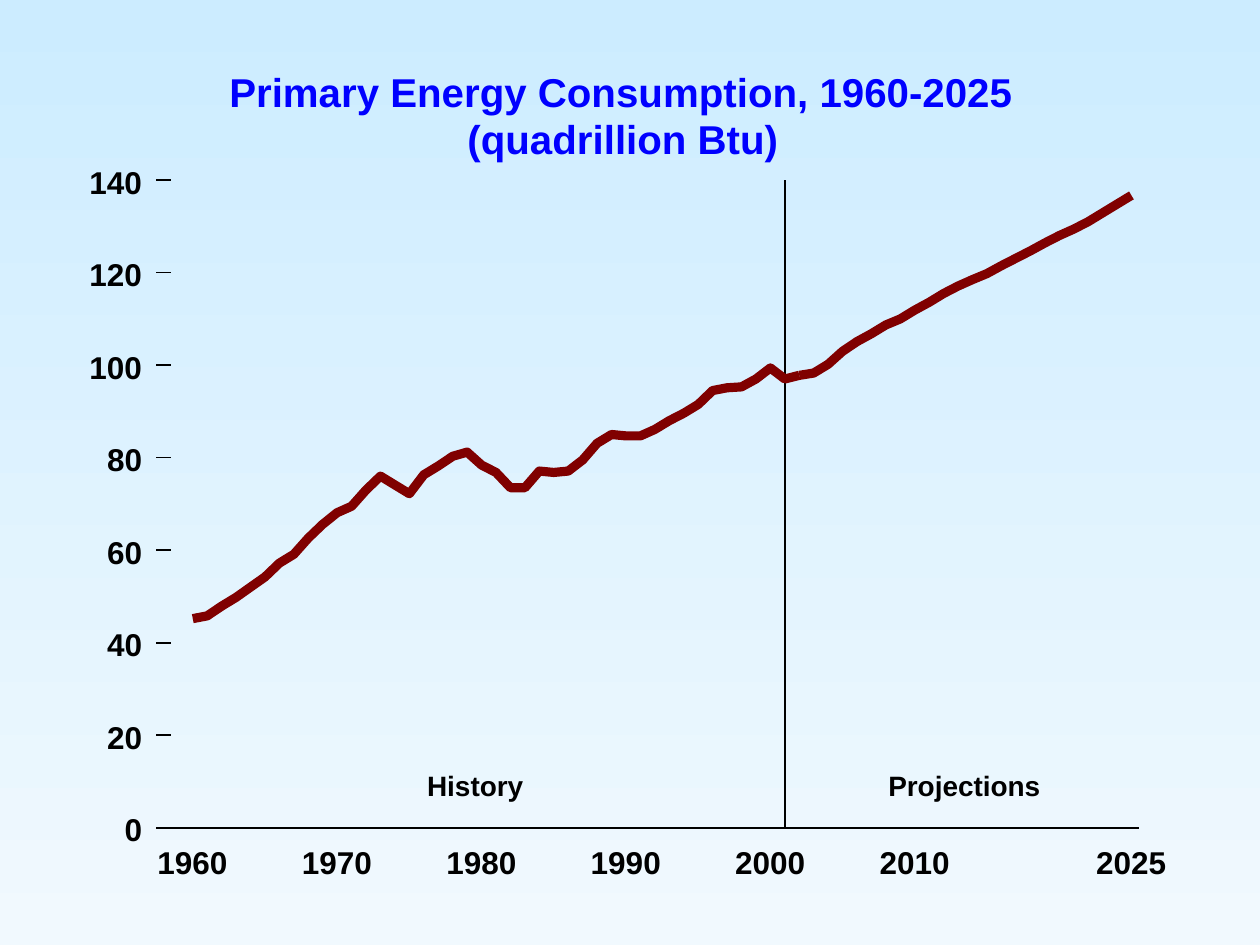
from typing import NamedTuple

import pptx
import pptx.dml.color
import pptx.enum.shapes
import pptx.enum.text
import pptx.oxml.ns
import pptx.util
from lxml import etree

Inches = pptx.util.Inches
Pt = pptx.util.Pt
RGBColor = pptx.dml.color.RGBColor

BLACK = RGBColor(0x00, 0x00, 0x00)
BLUE = RGBColor(0x00, 0x00, 0xFF)
MAROON = RGBColor(0x80, 0x00, 0x00)
SKY = RGBColor(0xCC, 0xEC, 0xFF)
PALE = RGBColor(0xF1, 0xF9, 0xFE)

LEFT, RIGHT = 1.36, 9.04
TOP, BASE = 1.43, 6.57
TICK = 0.12
FIRST, LAST, SPLIT = 1960, 2025, 2001
X_FIRST, X_LAST = 1.53, 8.98
Y_MAX, Y_STEP = 140, 20
YEARS = (1960, 1970, 1980, 1990, 2000, 2010, 2025)
DIGIT = 0.14


class Label(NamedTuple):
    text: str
    left: float
    top: float
    width: float
    height: float
    size: int
    color: RGBColor


class Series(NamedTuple):
    start: int
    values: tuple[float, ...]


PAST = Series(1960, (
    45.2, 45.8, 47.9, 49.8, 52.0, 54.2, 57.2, 59.1, 62.6, 65.6,
    68.1, 69.5, 73.0, 76.0, 74.1, 72.2, 76.3, 78.2, 80.3, 81.2,
    78.4, 76.8, 73.5, 73.5, 77.1, 76.8, 77.1, 79.5, 83.1, 85.0,
    84.7, 84.7, 86.1, 88.0, 89.6, 91.5, 94.5, 95.1, 95.3, 97.0,
    99.4, 97.0, 97.8))
FUTURE = Series(2002, (
    97.8, 98.3, 100.2, 103.0, 105.1, 106.8, 108.7, 110.0, 111.9, 113.6,
    115.5, 117.1, 118.5, 119.8, 121.5, 123.1, 124.7, 126.4, 128.0, 129.4,
    131.0, 132.9, 134.8, 136.7))

TITLES = (
    Label("Primary Energy Consumption, 1960-2025", 1.82, 0.53, 6.27, 0.38, 23, BLUE),
    Label("(quadrillion Btu)", 3.71, 0.91, 2.52, 0.38, 23, BLUE),
    Label("History", 3.39, 6.1, 0.8, 0.27, 16, BLACK),
    Label("Projections", 7.05, 6.1, 1.25, 0.27, 16, BLACK),
)


def x_at(year: int) -> float:
    return X_FIRST + (year - FIRST) * (X_LAST - X_FIRST) / (LAST - FIRST)


def y_at(value: float) -> float:
    return BASE - value * (BASE - TOP) / Y_MAX


def add_text(slide, text: str, *, left: float, top: float, width: float,
             height: float, size: int = 18, color: RGBColor = BLACK) -> None:
    box = slide.shapes.add_textbox(
        Inches(left), Inches(top), Inches(width), Inches(height))
    frame = box.text_frame
    frame.margin_left = frame.margin_right = 0
    frame.margin_top = frame.margin_bottom = 0
    frame.word_wrap = False
    frame.auto_size = pptx.enum.text.MSO_AUTO_SIZE.SHAPE_TO_FIT_TEXT
    run = frame.paragraphs[0].add_run()
    run.text = text
    run.font.name = "Arial"
    run.font.size = Pt(size)
    run.font.bold = True
    run.font.color.rgb = color


def add_rule(slide, x1: float, y1: float, x2: float, y2: float) -> None:
    rule = slide.shapes.add_connector(
        pptx.enum.shapes.MSO_CONNECTOR.STRAIGHT,
        Inches(x1), Inches(y1), Inches(x2), Inches(y2))
    rule.line.color.rgb = BLACK
    rule.line.width = Pt(0.88)
    props = rule.element.spPr
    etree.SubElement(props, pptx.oxml.ns.qn("a:effectLst"))


def add_curve(slide, series: Series) -> None:
    points = [(Inches(x_at(year)), Inches(y_at(value)))
              for year, value in enumerate(series.values, series.start)]
    pen = slide.shapes.build_freeform(*points[0])
    pen.add_line_segments(points[1:], close=False)
    curve = pen.convert_to_shape()
    curve.shadow.inherit = False
    curve.fill.background()
    curve.line.color.rgb = MAROON
    curve.line.width = Pt(5.25)


def paint_back(slide) -> None:
    fill = slide.background.fill
    fill.gradient()
    fill.gradient_angle = 270
    for stop, color in zip(fill.gradient_stops, (SKY, PALE)):
        stop.color.rgb = color


def main() -> None:
    deck = pptx.Presentation()
    deck.slide_width, deck.slide_height = Inches(10), Inches(7.5)
    slide = deck.slides.add_slide(deck.slide_layouts[6])
    paint_back(slide)

    add_rule(slide, x_at(SPLIT), TOP, x_at(SPLIT), BASE)
    add_curve(slide, FUTURE)
    add_curve(slide, PAST)

    marks = range(0, Y_MAX + 1, Y_STEP)
    for mark in marks:
        add_rule(slide, LEFT - TICK, y_at(mark), LEFT, y_at(mark))
    add_rule(slide, LEFT, BASE, RIGHT, BASE)

    for year in YEARS:
        add_text(slide, str(year), left=x_at(year) - 2 * DIGIT, top=6.69,
                 width=4 * DIGIT, height=0.3)
    for mark in marks:
        width = DIGIT * len(str(mark))
        add_text(slide, str(mark), left=1.13 - width, top=y_at(mark) - 0.14,
                 width=width, height=0.3)
    for label in TITLES:
        add_text(slide, **label._asdict())

    deck.save("out.pptx")


if __name__ == "__main__":
    main()
